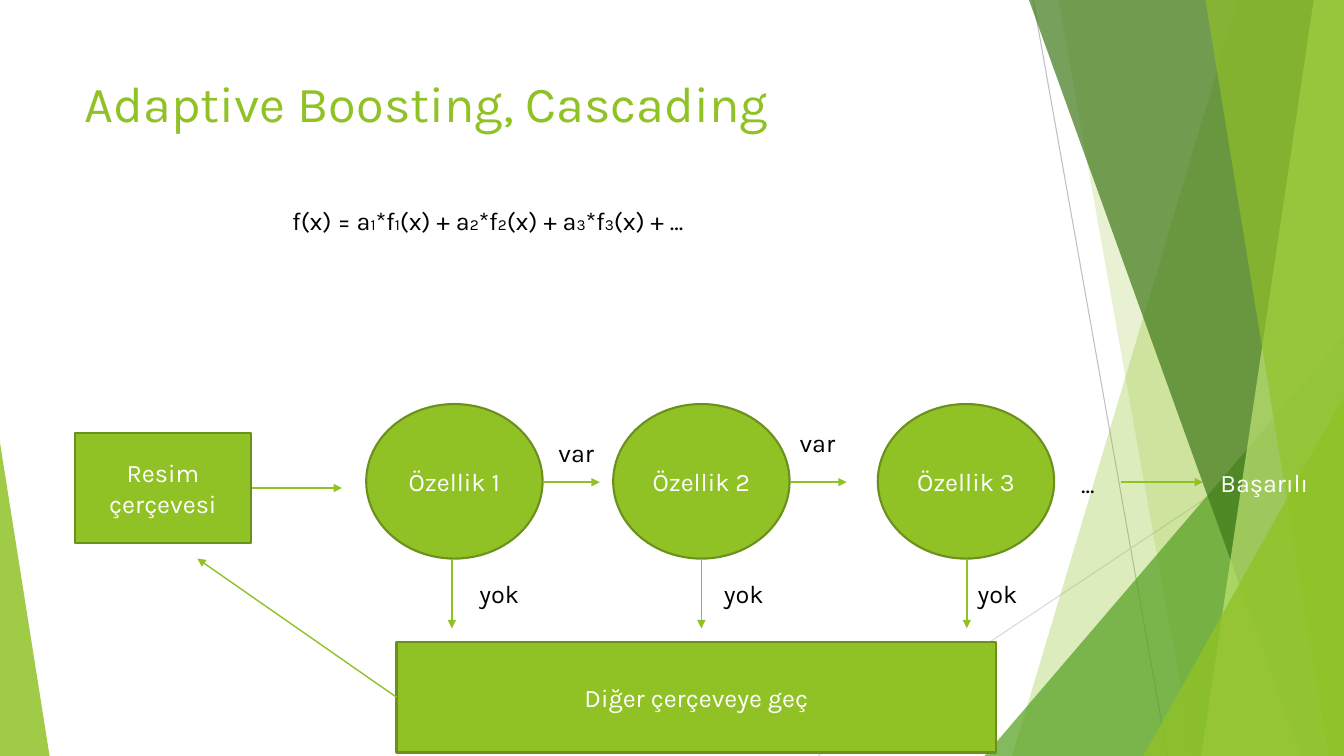
from lxml.etree import SubElement
from pptx import Presentation
from pptx.dml.color import RGBColor
from pptx.enum.shapes import MSO_CONNECTOR, MSO_SHAPE
from pptx.enum.text import MSO_ANCHOR, PP_ALIGN
from pptx.oxml.ns import qn
from pptx.util import Inches, Pt

COLORS = {
    "green": "90C226",
    "outline": "6B901C",
    "leaf": "54A021",
    "forest": "3F7819",
    "lime": "C0E474",
    "gray": "BFBFBF",
    "light_gray": "D9D9D9",
    "black": "000000",
    "white": "FFFFFF",
}
COLUMNS, ROWS = 160, 90
WIDTH, HEIGHT = Inches(13.33), Inches(7.5)


class SlideBuilder:
    font_name = "Karla"
    text_size = 18
    small_size = 11

    def __init__(self, presentation):
        presentation.slide_width, presentation.slide_height = WIDTH, HEIGHT
        self.slide = presentation.slides.add_slide(presentation.slide_layouts[6])
        self.shapes = self.slide.shapes

    def place(self, *lengths):
        units = (WIDTH / COLUMNS, HEIGHT / ROWS)
        return [round(length * units[i % 2]) for i, length in enumerate(lengths)]

    def color(self, name):
        return RGBColor.from_string(COLORS[name])

    def paint(self, shape, fill, opacity=None, outline=None):
        shape.shadow.inherit = False
        shape.fill.solid()
        shape.fill.fore_color.rgb = self.color(fill)
        if opacity:
            color = shape._element.spPr.find(qn("a:solidFill"))[0]
            SubElement(color, qn("a:alpha")).set("val", str(opacity * 1000))
        if outline:
            shape.line.color.rgb = self.color(outline)
            shape.line.width = Pt(1.5)
        else:
            shape.line.fill.background()

    def band(self, top_column, bottom_column, fill, opacity):
        corners = [(COLUMNS, 0), (COLUMNS, ROWS), (bottom_column, ROWS)]
        builder = self.shapes.build_freeform(*self.place(top_column, 0))
        builder.add_line_segments([self.place(*corner) for corner in corners])
        self.paint(builder.convert_to_shape(), fill, opacity)

    def triangle(self, left, top, width, apex, fill, opacity):
        box = self.place(left, top, width, ROWS - top)
        shape = self.shapes.add_shape(MSO_SHAPE.ISOSCELES_TRIANGLE, *box)
        shape.adjustments[0] = apex
        self.paint(shape, fill, opacity)

    def line(self, start, end, color="green", width=1, arrow=True):
        connector = self.shapes.add_connector(
            MSO_CONNECTOR.STRAIGHT, *self.place(*start, *end))
        connector.line.color.rgb = self.color(color)
        connector.line.width = Pt(width)
        properties = connector._element.spPr
        if arrow:
            outline = properties.find(qn("a:ln"))
            SubElement(outline, qn("a:tailEnd")).set("type", "triangle")
        SubElement(properties, qn("a:effectLst"))

    def fill_text(self, shape, pieces, color, sizes, align):
        shape.text_frame.word_wrap = True
        paragraph = shape.text_frame.paragraphs[0]
        paragraph.alignment = align
        paragraph.font.name = self.font_name
        paragraph.font.color.rgb = self.color(color)
        paragraph.font.size = Pt(sizes[0])
        for index, piece in enumerate(pieces):
            run = paragraph.add_run()
            run.text = piece
            if index % 2:
                run.font.size = Pt(sizes[1])

    def node(self, kind, box, text):
        shape = self.shapes.add_shape(kind, *self.place(*box))
        self.paint(shape, "green", outline="outline")
        shape.text_frame.vertical_anchor = MSO_ANCHOR.MIDDLE
        self.fill_text(shape, [text], "white", [self.text_size], PP_ALIGN.CENTER)

    def text(self, box, *pieces, color="black", size=text_size, align=PP_ALIGN.LEFT):
        shape = self.shapes.add_textbox(*self.place(*box))
        self.fill_text(shape, pieces, color, [size, self.small_size], align)


def draw_backdrop(builder):
    builder.line((123, 0), (139, ROWS), "gray", 0.75, arrow=False)
    builder.line((COLUMNS, 48.4), (97.4, ROWS), "light_gray", 0.75, arrow=False)
    builder.band(147.4, 120.5, "green", 30)
    builder.band(126, 142, "green", 20)
    builder.triangle(117.2, 40, 42.8, 1, "leaf", 72)
    builder.band(122.5, 154.9, "forest", 70)
    builder.band(156.4, 143, "lime", 70)
    builder.band(143.5, 158.2, "green", 65)
    builder.triangle(136.1, 47.2, 23.9, 1, "green", 80)
    builder.triangle(0, 52.7, 5.9, 0, "green", 85)


def draw_cascade(builder):
    node_width, node_height, box_height = 21, 18.4, 13.2
    node_top, flow_row = 48.1, 57.4
    label_width, label_height = 7.7, 4.8

    builder.node(MSO_SHAPE.RECTANGLE, (8.9, 51.5, node_width, box_height),
                 "Resim çerçevesi")
    builder.line((30, 58.1), (40.7, 58.1))

    features = [(43.6, 53.8, 55.9), (73, 83.5, 85), (104.5, 115.1, 115.2)]
    for number, (left, arrow_column, label_left) in enumerate(features, 1):
        builder.node(MSO_SHAPE.OVAL, (left, node_top, node_width, node_height),
                     f"Özellik {number}")
        builder.line((arrow_column, node_top + node_height), (arrow_column, 74.8))
        builder.text((label_left, 68.3, label_width, label_height), "yok")

    for left, label_left, label_top in [(64.6, 65.3, 51.5), (94, 94, 50.3)]:
        builder.line((left, flow_row), (left + 6.8, flow_row))
        builder.text((label_left, label_top, label_width, label_height), "var")

    builder.node(MSO_SHAPE.RECTANGLE, (47.2, 76.4, 71.4, box_height),
                 "Diğer çerçeveye geç")
    builder.line((47.2, 83), (23.5, 66.5))
    builder.line((133.4, flow_row), (143.2, flow_row))
    builder.text((144.1, 55, 15.9, label_height), "Başarılı", color="white")
    builder.text((125.6, 55.2, 7.8, label_height), "...", align=PP_ALIGN.CENTER)


def main():
    presentation = Presentation()
    builder = SlideBuilder(presentation)
    draw_backdrop(builder)
    builder.text((8.9, 8, 112.8, 17.3), "Adaptive Boosting, Cascading",
                 color="green", size=36)
    builder.text((33.6, 23.9, 99.8, 4.8),
                 "f(x) = a", "1", "*f", "1", "(x) + a", "2", "*f", "2",
                 "(x) + a", "3", "*f", "3", "(x) + ...")
    draw_cascade(builder)
    presentation.save("out.pptx")


if __name__ == "__main__":
    main()
